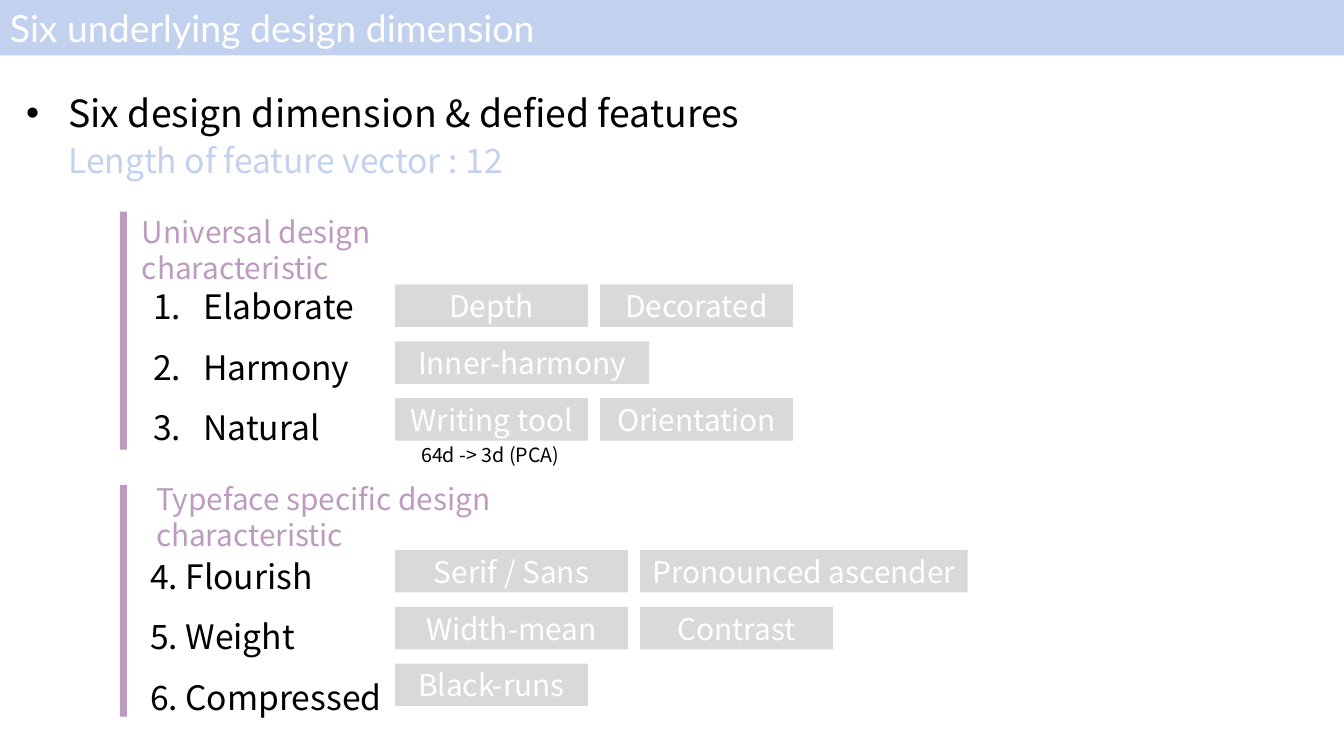
from dataclasses import dataclass
from typing import Optional

from lxml.etree import SubElement
from pptx import Presentation
from pptx.dml.color import RGBColor
from pptx.enum.shapes import MSO_SHAPE
from pptx.enum.text import MSO_ANCHOR, PP_ALIGN
from pptx.oxml.ns import qn
from pptx.util import Inches, Pt

# Grid: 40 columns by 40 rows over the whole slide
SLIDE_WIDTH, SLIDE_HEIGHT = Inches(13.33), Inches(7.5)
GRID = 40

BODY_FONT, TITLE_FONT = "Noto Sans CJK JP", "Lato"
BLUE, PURPLE, GREY = "C2D1ED", "BD9BC0", "D9D9D9"
BLACK, WHITE = "000000", "FFFFFF"

CHIP_LEFT, CHIP_GAP, CHIP_HEIGHT, CHIP_PITCH = 11.76, 0.36, 2.25, 3.01
BAR_LEFT, BAR_WIDTH = 3.57, 0.21
LIST_WIDTH = 16.95


@dataclass
class Box:
    column: float
    row: float
    columns: float
    rows: float


@dataclass
class Style:
    size: float
    color: str
    font: str = BODY_FONT
    align: PP_ALIGN = PP_ALIGN.LEFT
    anchor: MSO_ANCHOR = MSO_ANCHOR.TOP
    wrap: bool = True
    line_spacing: Optional[float] = None
    bullet: Optional[tuple[str, str, str]] = None  # tag, attribute, value
    indent: float = 0


@dataclass
class Chip:
    label: str
    columns: float = 5.74


@dataclass
class Section:
    heading: str
    heading_box: Box
    bar_row: float
    bar_rows: float
    items: list[str]
    list_box: Box
    list_style: Style
    chip_row: float
    chips: list[list[Chip]]


HEADING = Style(21.3, PURPLE)
CHIP = Style(21.3, WHITE, align=PP_ALIGN.CENTER, anchor=MSO_ANCHOR.MIDDLE, wrap=False)
PLAIN_LIST = Style(24, BLACK, anchor=MSO_ANCHOR.MIDDLE, line_spacing=1.5)
NUMBERED_LIST = Style(24, BLACK, anchor=MSO_ANCHOR.MIDDLE, line_spacing=1.5,
                      bullet=("a:buAutoNum", "type", "arabicPeriod"), indent=0.5)

SECTIONS = [
    Section(
        "Universal design characteristic", Box(3.93, 11.04, 12.75, 2.45), 11.2, 12.59,
        ["Elaborate", "Harmony", "Natural"],
        Box(4.26, 13.97, LIST_WIDTH, 9.81), NUMBERED_LIST, 15.05,
        [[Chip("Depth"), Chip("Decorated")],
         [Chip("Inner-harmony", 7.56)],
         [Chip("Writing tool"), Chip("Orientation")]]),
    Section(
        "Typeface specific design characteristic", Box(4.35, 25.17, 15.87, 2.45), 25.65, 12.27,
        ["4. Flourish", "5. Weight", "6. Compressed"],
        Box(4.17, 28.37, LIST_WIDTH, 9.55), PLAIN_LIST, 29.1,
        [[Chip("Serif / Sans", 6.93), Chip("Pronounced ascender", 9.75)],
         [Chip("Width-mean", 6.93), Chip("Contrast")],
         [Chip("Black-runs")]]),
]


def rgb(color: str) -> RGBColor:
    return RGBColor.from_string(color)


def place(box: Box) -> tuple[int, int, int, int]:
    return (int(box.column * SLIDE_WIDTH / GRID), int(box.row * SLIDE_HEIGHT / GRID),
            int(box.columns * SLIDE_WIDTH / GRID), int(box.rows * SLIDE_HEIGHT / GRID))


def write(shape, lines: list[str], style: Style) -> None:
    frame = shape.text_frame
    frame.word_wrap = style.wrap
    frame.vertical_anchor = style.anchor
    for index, line in enumerate(lines):
        paragraph = frame.add_paragraph() if index else frame.paragraphs[0]
        paragraph.alignment = style.align
        if style.line_spacing:
            paragraph.line_spacing = style.line_spacing
        if style.bullet:
            tag, attribute, value = style.bullet
            properties = paragraph._p.get_or_add_pPr()
            properties.set("marL", str(Inches(style.indent)))
            properties.set("indent", str(-Inches(style.indent)))
            SubElement(properties, qn("a:buFont")).set("typeface", "Arial")
            SubElement(properties, qn(tag)).set(attribute, value)
        run = paragraph.add_run()
        run.text = line
        run.font.name = style.font
        run.font.size = Pt(style.size)
        run.font.color.rgb = rgb(style.color)


def add_rectangle(slide, box: Box, fill: str):
    shape = slide.shapes.add_shape(MSO_SHAPE.RECTANGLE, *place(box))
    shape.shadow.inherit = False
    shape.fill.solid()
    shape.fill.fore_color.rgb = rgb(fill)
    shape.line.fill.background()
    return shape


def add_text(slide, box: Box, text: str, style: Style) -> None:
    write(slide.shapes.add_textbox(*place(box)), [text], style)


def add_section(slide, section: Section) -> None:
    write(add_rectangle(slide, section.list_box, WHITE), section.items, section.list_style)
    add_text(slide, section.heading_box, section.heading, HEADING)
    add_rectangle(slide, Box(BAR_LEFT, section.bar_row, BAR_WIDTH, section.bar_rows), PURPLE)
    # Feature chips, each starting one gap after the previous
    for index, chips in enumerate(section.chips):
        column = CHIP_LEFT
        for chip in chips:
            box = Box(column, section.chip_row + index * CHIP_PITCH, chip.columns, CHIP_HEIGHT)
            write(add_rectangle(slide, box, GREY), [chip.label], CHIP)
            column += chip.columns + CHIP_GAP


def main() -> None:
    presentation = Presentation()
    presentation.slide_width, presentation.slide_height = SLIDE_WIDTH, SLIDE_HEIGHT
    slide = presentation.slides.add_slide(presentation.slide_layouts[6])

    # Title band
    band = add_rectangle(slide, Box(0, 0, GRID, 2.93), BLUE)
    write(band, ["Six underlying design dimension"], Style(26.7, WHITE, TITLE_FONT))

    # Main point
    add_text(slide, Box(0.48, 4.48, 38.1, 2.93), "Six design dimension & defied features",
             Style(26.7, BLACK, bullet=("a:buChar", "char", "•"), indent=0.42))
    add_text(slide, Box(1.74, 7.15, 13.53, 2.67), "Length of feature vector : 12",
             Style(24, BLUE, wrap=False))

    # Design characteristics and their features
    for section in SECTIONS:
        add_section(slide, section)
    add_text(slide, Box(12.24, 23.15, 4.74, 1.81), "64d -> 3d (PCA)",
             Style(14, BLACK, wrap=False))

    presentation.save("out.pptx")


if __name__ == "__main__":
    main()
